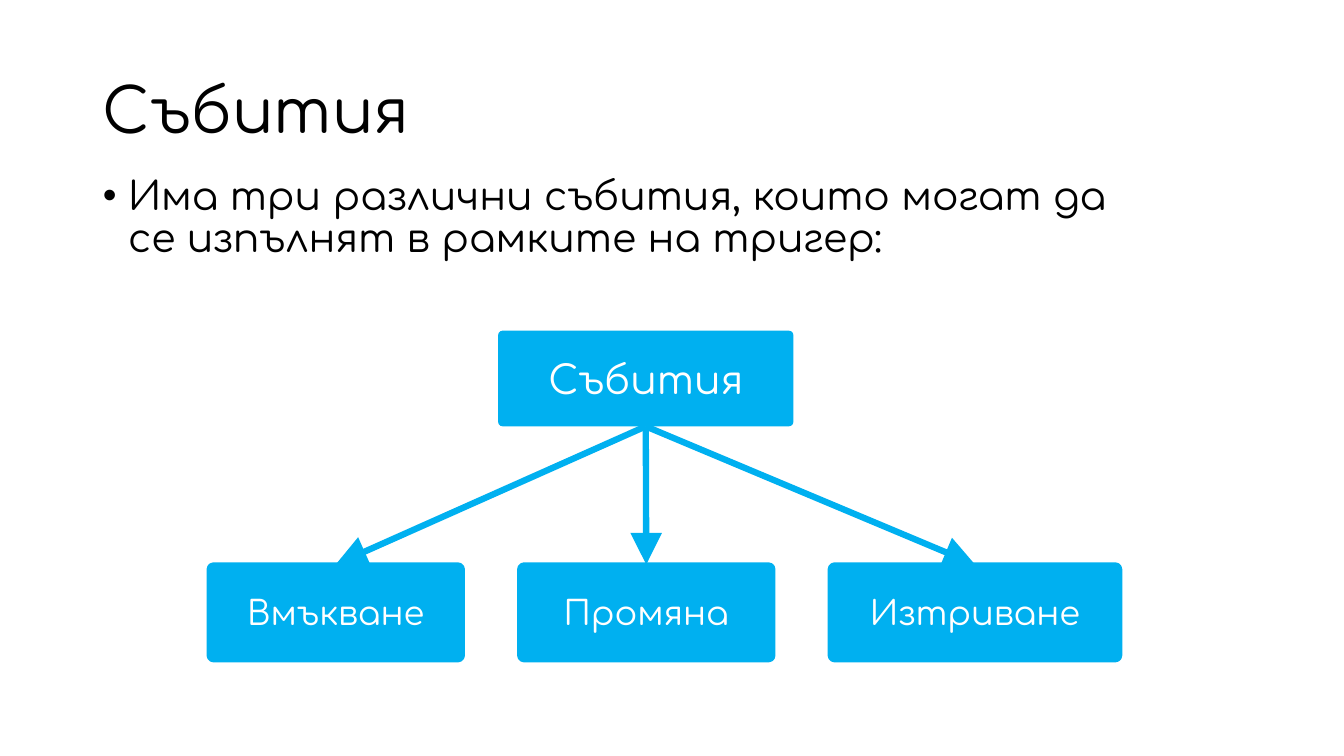
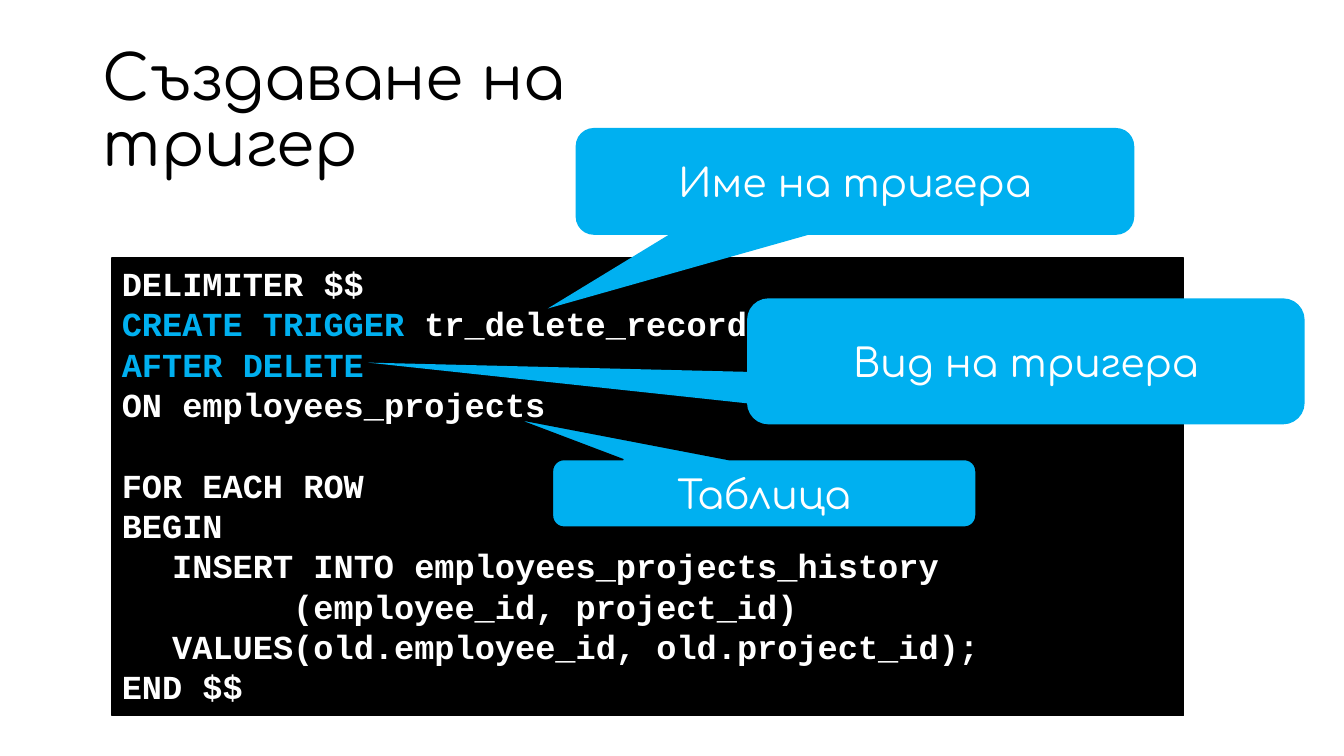
from lxml import etree
from pptx import Presentation
from pptx.dml.color import RGBColor
from pptx.enum.shapes import MSO_CONNECTOR, MSO_SHAPE
from pptx.enum.text import MSO_ANCHOR, MSO_AUTO_SIZE, PP_ALIGN
from pptx.oxml.ns import qn
from pptx.util import Inches, Pt

COLORS = {name: RGBColor.from_string(value) for name, value in {
    "blue": "00B0F0", "black": "000000", "white": "FFFFFF"}.items()}
TEXT_FONT = "Comfortaa"
CODE_FONT = "Courier New"


def fill_placeholder(placeholder, text, box, size):
    placeholder.left, placeholder.top, placeholder.width, placeholder.height = map(Inches, box)
    frame = placeholder.text_frame
    frame.text = text
    frame.auto_size = MSO_AUTO_SIZE.NONE
    paragraph = frame.paragraphs[0]
    paragraph.alignment = PP_ALIGN.LEFT
    paragraph.line_spacing = 0.9
    paragraph.font.name = TEXT_FONT
    paragraph.font.size = Pt(size)
    paragraph.font.color.rgb = COLORS["black"]
    return paragraph


def add_label(slide, kind, text, box, adjustments, size=28, line=None):
    """Add a blue shape with centred white text; line is (colour name, points)."""
    shape = slide.shapes.add_shape(kind, *map(Inches, box))
    for index, value in enumerate(adjustments):
        shape.adjustments[index] = value
    shape.shadow.inherit = False
    shape.fill.solid()
    shape.fill.fore_color.rgb = COLORS["blue"]
    if line:
        shape.line.color.rgb = COLORS[line[0]]
        shape.line.width = Pt(line[1])
    else:
        shape.line.fill.background()
    frame = shape.text_frame
    frame.text = text
    frame.vertical_anchor = MSO_ANCHOR.MIDDLE
    paragraph = frame.paragraphs[0]
    paragraph.alignment = PP_ALIGN.CENTER
    paragraph.font.name = TEXT_FONT
    paragraph.font.size = Pt(size)
    paragraph.font.color.rgb = COLORS["white"]
    return shape


presentation = Presentation()
presentation.slide_width = Inches(13.33)
presentation.slide_height = Inches(7.5)

# Slide 1: event tree
slide = presentation.slides.add_slide(presentation.slide_layouts[1])
fill_placeholder(slide.shapes.title, "Събития", (0.92, 0.4, 11.5, 1.45), 44)
bullet = fill_placeholder(
    slide.placeholders[1],
    "Има три различни събития, които могат да се изпълнят в рамките на тригер:",
    (0.92, 1.7, 10.51, 1.74), 28)
bullet.space_before = Pt(10)
properties = bullet._p.get_or_add_pPr()
properties.set("marL", str(Inches(0.25)))
properties.set("indent", str(Inches(-0.25)))

root = add_label(slide, MSO_SHAPE.ROUNDED_RECTANGLE, "Събития",
                 (4.94, 3.28, 2.93, 0.95), [0.05])
for text, left, width in (("Вмъкване", 2.07, 2.52), ("Промяна", 5.15, 2.52),
                          ("Изтриване", 8.23, 2.88)):
    event = add_label(slide, MSO_SHAPE.ROUNDED_RECTANGLE, text,
                      (left, 5.6, width, 0.95), [0.05], 24, ("blue", 3))
    arrow = slide.shapes.add_connector(MSO_CONNECTOR.STRAIGHT, 0, 0, 0, 0)
    arrow.begin_connect(root, 2)
    arrow.end_connect(event, 0)
    arrow.line.color.rgb = COLORS["blue"]
    arrow.line.width = Pt(4.5)
    etree.SubElement(arrow.line._get_or_add_ln(), qn("a:tailEnd"),
                     type="triangle", w="lg", len="lg")
    etree.SubElement(arrow._element.spPr, qn("a:effectLst"))

# Slide 2: trigger code with callouts
slide = presentation.slides.add_slide(presentation.slide_layouts[5])
fill_placeholder(slide.shapes.title, "Създаване на тригер", (0.92, 0.4, 6.38, 1.45), 44)

code = slide.shapes.add_shape(MSO_SHAPE.RECTANGLE, *map(Inches, (1.11, 2.56, 10.63, 4.54)))
code.shadow.inherit = False
code.fill.solid()
code.fill.fore_color.rgb = COLORS["black"]
code.line.color.rgb = COLORS["black"]
code.line.width = Pt(1)
frame = code.text_frame
frame.word_wrap = True
frame.vertical_anchor = MSO_ANCHOR.TOP

BLOCK_GAP = 28.8
# Each line: indent in inches, space after in points, blue keyword, white remainder
code_lines = [
    (0, 0, "", "DELIMITER $$"),
    (0, 0, "CREATE TRIGGER ", "tr_delete_records"),
    (0, 0, "AFTER DELETE", ""),
    (0, BLOCK_GAP, "", "ON employees_projects"),
    (0, 0, "", "FOR EACH ROW"),
    (0, 0, "", "BEGIN"),
    (0.5, 0, "", "INSERT INTO employees_projects_history"),
    (1.7, 0, "", "(employee_id, project_id)"),
    (0.5, 0, "", "VALUES(old.employee_id, old.project_id);"),
    (0, 0, "", "END $$"),
]
for number, (indent, gap, keyword, remainder) in enumerate(code_lines):
    paragraph = frame.add_paragraph() if number else frame.paragraphs[0]
    paragraph.alignment = PP_ALIGN.LEFT
    paragraph.space_after = Pt(gap)
    paragraph._p.get_or_add_pPr().set("marL", str(Inches(indent)))
    paragraph.font.name = CODE_FONT
    paragraph.font.size = Pt(24)
    paragraph.font.bold = True
    for text, color in ((keyword, "blue"), (remainder, "white")):
        if text:
            run = paragraph.add_run()
            run.text = text
            run.font.color.rgb = COLORS[color]

for text, box, tip, line in (
        ("Таблица", (5.48, 4.56, 4.2, 0.67), (-0.59, -1.11), ("black", 1)),
        ("Име на тригера", (5.71, 1.27, 5.54, 1.06), (-0.55, 1.19), None),
        ("Вид на тригера", (7.41, 2.96, 5.53, 1.25), (-1.18, 0.01), None)):
    add_label(slide, MSO_SHAPE.ROUNDED_RECTANGULAR_CALLOUT, text, box,
              (*tip, 0.17), line=line)

presentation.save("out.pptx")
